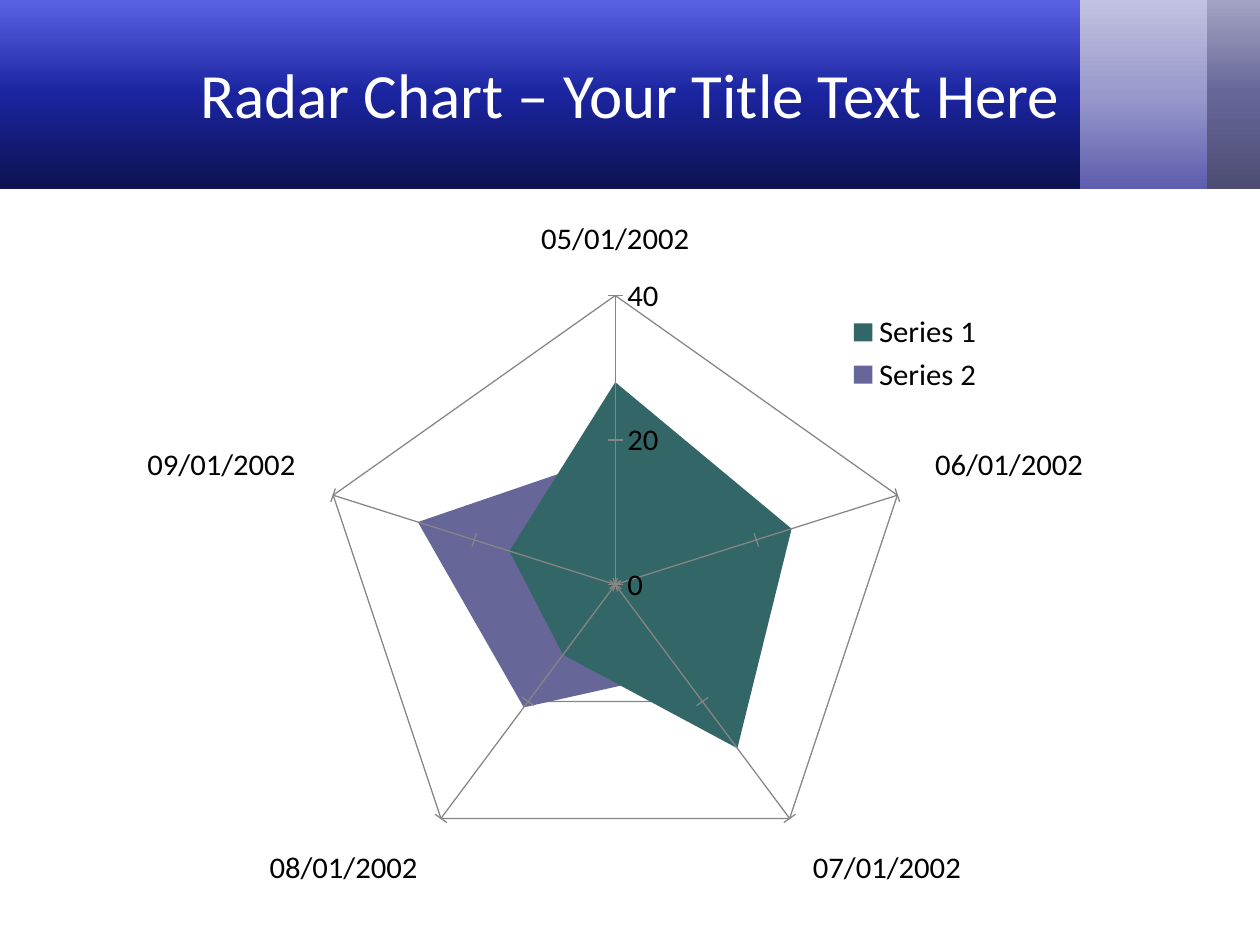
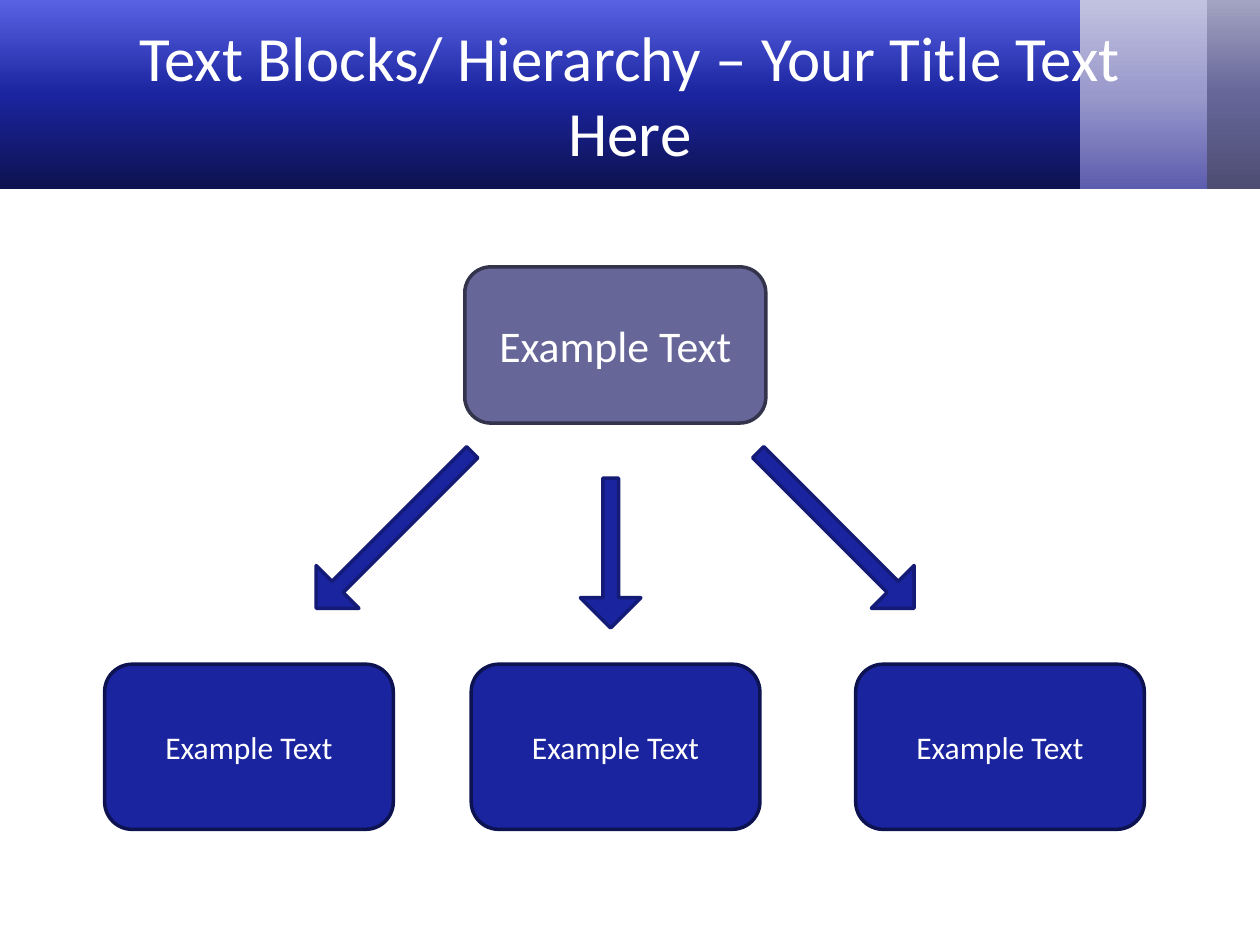
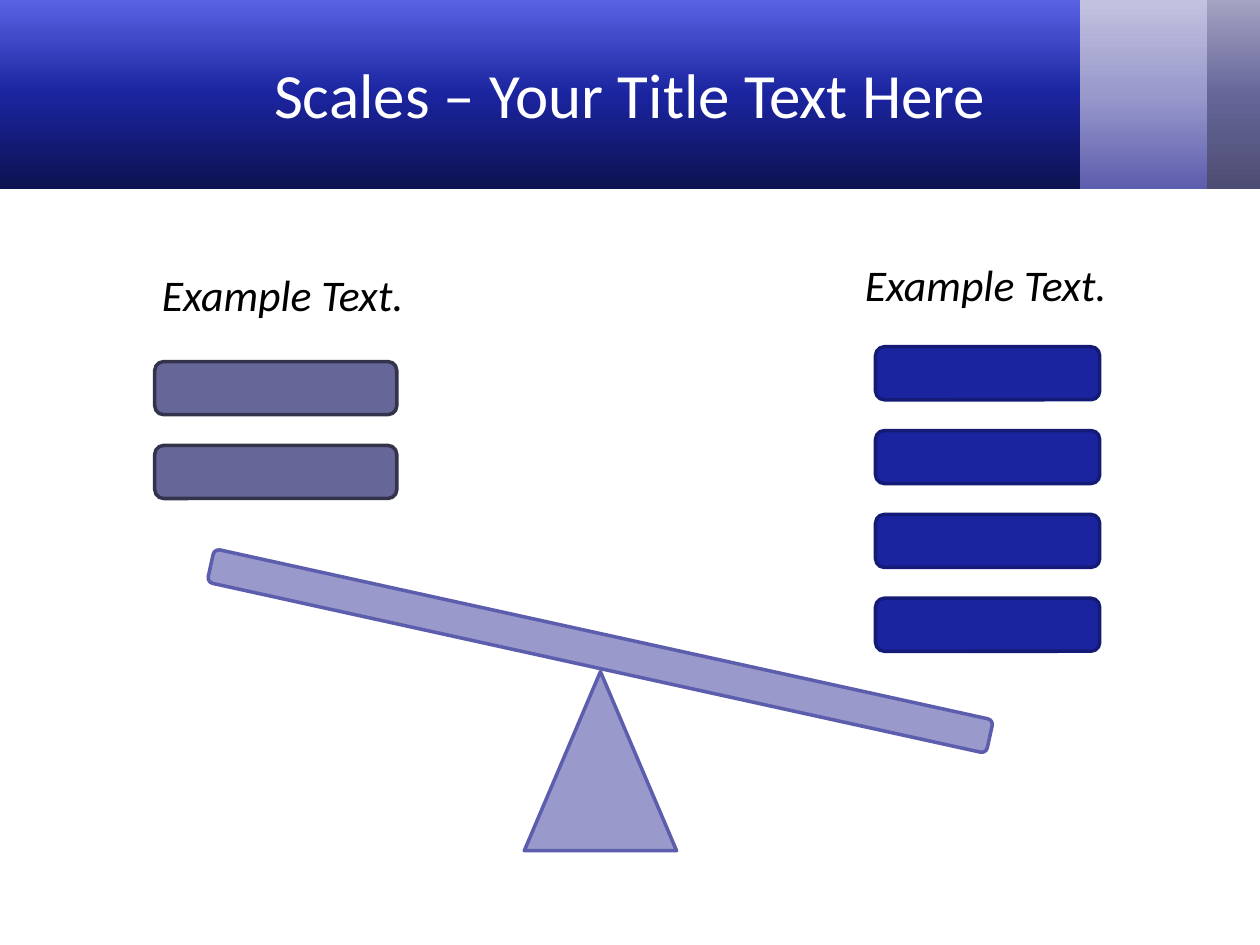
import copy
import dataclasses

import lxml.etree
import pptx
import pptx.chart.data
import pptx.dml.color
import pptx.enum.chart
import pptx.enum.shapes
import pptx.enum.text
import pptx.oxml.ns
import pptx.util

Cm = pptx.util.Cm
Shape = pptx.enum.shapes.MSO_SHAPE
rgb = pptx.dml.color.RGBColor.from_string
qn = pptx.oxml.ns.qn


@dataclasses.dataclass(frozen=True)
class Theme:
    font: str = "Calibri"
    white: str = "FFFFFF"
    black: str = "000000"
    navy: str = "1B249F"
    navy_edge: str = "141B76"
    navy_deep: str = "0D1250"
    navy_light: str = "5962E3"
    slate: str = "666699"
    slate_edge: str = "33334C"
    slate_deep: str = "4D4D73"
    slate_light: str = "A3A3C2"
    lilac: str = "9999CC"
    lilac_edge: str = "5D5DAE"
    lilac_light: str = "C2C2E0"
    teal: str = "336666"
    grid: str = "868686"
    title_size: int = 36
    large_size: int = 25
    body_size: int = 18
    edge_width: int = 2


theme = Theme()


def add_block(slide, outline, box, fill, edge, rotation=0):
    block = slide.shapes.add_shape(outline, *map(Cm, box))
    block.shadow.inherit = False
    block.rotation = rotation
    block.fill.solid()
    block.fill.fore_color.rgb = rgb(fill)
    block.line.color.rgb = rgb(edge)
    block.line.width = pptx.util.Pt(theme.edge_width)
    return block


def write(holder, text, size, color, italic=False):
    frame = holder.text_frame
    frame.text = text
    frame.word_wrap = True
    paragraph = frame.paragraphs[0]
    paragraph.alignment = pptx.enum.text.PP_ALIGN.CENTER
    font = paragraph.runs[0].font
    font.name = theme.font
    font.size = pptx.util.Pt(size)
    font.color.rgb = rgb(color)
    font.italic = italic


deck = pptx.Presentation()
deck.slide_width = Cm(25.4)
deck.slide_height = Cm(19.05)

bands = [
    (23.95, 1.45, (theme.slate_deep, theme.slate, theme.slate_light)),
    (21.67, 2.67, (theme.lilac_edge, theme.lilac, theme.lilac_light)),
    (0, 21.77, (theme.navy_deep, theme.navy, theme.navy_light)),
]
titles = [
    "Radar Chart – Your Title Text Here",
    "Text Blocks/ Hierarchy – Your Title Text Here",
    "Scales – Your Title Text Here",
]
for title in titles:
    slide = deck.slides.add_slide(deck.slide_layouts[6])
    for left, width, shades in bands:
        band = slide.shapes.add_shape(Shape.RECTANGLE, Cm(left), 0, Cm(width), Cm(3.81))
        band.shadow.inherit = False
        band.line.fill.background()
        band.fill.gradient()
        band.fill.gradient_angle = 90
        stop_list = band.fill.gradient_stops[0]._gs.getparent()
        stop_list.append(copy.deepcopy(stop_list[0]))
        for stop, position, shade in zip(band.fill.gradient_stops, (0, 0.5, 1), shades):
            stop.position = position
            stop.color.rgb = rgb(shade)
    heading = slide.shapes.add_textbox(Cm(1.27), Cm(0.2), Cm(22.86), Cm(3.38))
    heading.text_frame.vertical_anchor = pptx.enum.text.MSO_ANCHOR.MIDDLE
    write(heading, title, theme.title_size, theme.white)

radar_slide, hierarchy_slide, scales_slide = deck.slides

readings = pptx.chart.data.CategoryChartData()
readings.categories = [f"{day:02}/01/2002" for day in range(5, 10)]
readings.add_series("Series 1", (28, 25, 28, 12, 15))
readings.add_series("Series 2", (18, 16, 15, 21, 28))
radar = radar_slide.shapes.add_chart(
    pptx.enum.chart.XL_CHART_TYPE.RADAR_FILLED,
    Cm(2.97), Cm(4.45), Cm(20.12), Cm(13.97), readings,
).chart
radar.has_title = False
radar.font.name = theme.font
radar.font.size = pptx.util.Pt(theme.body_size)
radar.font.color.rgb = rgb(theme.black)
radar.plots[0].vary_by_categories = False
for series, color in zip(radar.plots[0].series, (theme.teal, theme.slate)):
    series.format.fill.solid()
    series.format.fill.fore_color.rgb = rgb(color)
    series.format.line.fill.background()

ticks = pptx.enum.chart.XL_TICK_MARK
for axis, tick in ((radar.category_axis, ticks.OUTSIDE), (radar.value_axis, ticks.CROSS)):
    axis.major_tick_mark = tick
    axis.has_major_gridlines = True
    axis.major_gridlines.format.line.color.rgb = rgb(theme.grid)
    axis.format.line.color.rgb = rgb(theme.grid)
radar.value_axis.minimum_scale = 0
radar.value_axis.maximum_scale = 40
radar.value_axis.major_unit = 20

radar.has_legend = True
radar.legend.position = pptx.enum.chart.XL_LEGEND_POSITION.RIGHT
radar.legend.include_in_layout = False
plot_area = radar._chartSpace.chart.plotArea
placements = [
    (plot_area, 0, {"layoutTarget": "inner", "xMode": "edge", "yMode": "edge",
                    "x": 0.15, "y": 0.06, "w": 0.61, "h": 0.88}),
    (radar.legend._element, 1, {"xMode": "edge", "yMode": "edge", "x": 0.69, "y": 0.08}),
]
for parent, index, settings in placements:
    for previous in parent.findall(qn("c:layout")):
        parent.remove(previous)
    layout = lxml.etree.Element(qn("c:layout"))
    manual = lxml.etree.SubElement(layout, qn("c:manualLayout"))
    for tag, value in settings.items():
        lxml.etree.SubElement(manual, qn(f"c:{tag}")).set("val", str(value))
    parent.insert(index, layout)

for left in (2.11, 9.5, 17.25):
    child = add_block(hierarchy_slide, Shape.ROUNDED_RECTANGLE, (left, 13.39, 5.82, 3.33),
                      theme.navy, theme.navy_deep)
    write(child, "Example Text", theme.body_size, theme.white)
for left, top, length, rotation in (
    (14.63, 10.08, 4.45, 45),
    (5.72, 10.08, 4.45, 135),
    (10.8, 10.54, 3.02, 90),
):
    arrow = add_block(hierarchy_slide, Shape.RIGHT_ARROW, (left, top, length, 1.22),
                      theme.navy, theme.navy_edge, rotation)
    arrow.adjustments[0] = 0.26
parent_box = add_block(hierarchy_slide, Shape.ROUNDED_RECTANGLE, (9.37, 5.38, 6.07, 3.15),
                       theme.slate, theme.slate_edge)
write(parent_box, "Example Text", theme.large_size, theme.white)

add_block(scales_slide, Shape.ISOSCELES_TRIANGLE, (10.57, 13.54, 3.07, 3.61),
          theme.lilac, theme.lilac_edge)
add_block(scales_slide, Shape.ROUNDED_RECTANGLE, (4.06, 12.78, 16.08, 0.69),
          theme.lilac, theme.lilac_edge, 12.4)
for left, top, width, count, fill, edge in (
    (3.12, 7.29, 4.88, 2, theme.slate, theme.slate_edge),
    (17.65, 6.99, 4.52, 4, theme.navy, theme.navy_edge),
):
    for level in range(count):
        add_block(scales_slide, Shape.ROUNDED_RECTANGLE,
                  (left, top + level * 1.69, width, 1.07), fill, edge)
for left, top in ((2.54, 5.28), (16.71, 5.08)):
    caption = scales_slide.shapes.add_textbox(Cm(left), Cm(top), Cm(6.32), Cm(1.32))
    write(caption, "Example Text.", theme.large_size, theme.black, italic=True)

deck.save("out.pptx")
